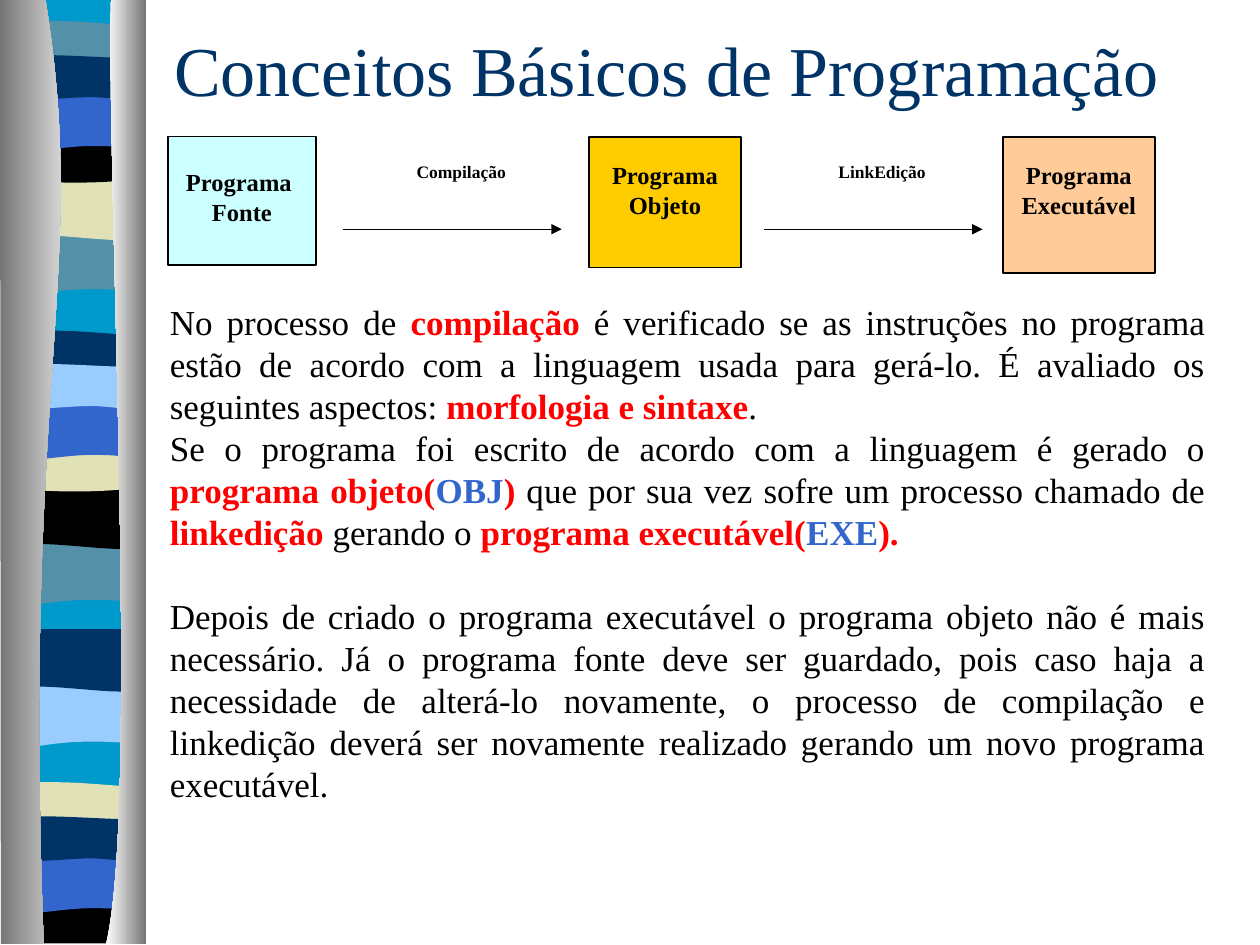
import pptx
import pptx.util
import pptx.dml.color
import pptx.enum.shapes
import pptx.enum.text
import pptx.oxml
import pptx.oxml.ns

Pt = pptx.util.Pt
RGB = pptx.dml.color.RGBColor.from_string
ALIGN = pptx.enum.text.PP_ALIGN
ANCHOR = pptx.enum.text.MSO_ANCHOR
RECT = pptx.enum.shapes.MSO_SHAPE.RECTANGLE
NS = pptx.oxml.ns.nsdecls("a")
qn = pptx.oxml.ns.qn

THEME = {
    "font": "Times New Roman",
    "title": 40, "body": 20, "box": 14, "step": 10,
    "navy": "003366", "blue": "3366CC", "sky": "99CCFF", "cyan": "0099CC",
    "teal": "5490A8", "sand": "E1E1B7", "black": "000000", "white": "FFFFFF",
    "red": "FF0000", "gray": "767676",
    "aqua": "CCFFFF", "gold": "FFCC00", "peach": "FFCC99",
}

prs = pptx.Presentation()
prs.slide_width, prs.slide_height = Pt(720), Pt(540)
s = prs.slides.add_slide(prs.slide_layouts[6])


def add_outline(x, y, segments, colors):
    pts = [(Pt(x + dx), Pt(y + dy)) for segment in segments for dx, dy in segment]
    fb = s.shapes.build_freeform(*pts[0], scale=1.0)
    fb.add_line_segments(pts[1:], close=True)
    sp = fb.convert_to_shape()
    lines = iter(list(sp._element.iter(qn("a:lnTo"))))
    for segment in segments[1:]:
        parts = [next(lines) for _ in segment]
        if len(parts) == 3:
            curve = pptx.oxml.parse_xml("<a:cubicBezTo %s/>" % NS)
            parts[0].addprevious(curve)
            for part in parts:
                curve.append(part[0])
                part.getparent().remove(part)
    sp.shadow.inherit = False
    sp.line.fill.background()
    if len(colors) == 1:
        sp.fill.solid()
        sp.fill.fore_color.rgb = RGB(THEME[colors[0]])
    else:
        sp.fill.gradient()
        sp.fill.gradient_angle = 0
        for stop, color in zip(sp.fill.gradient_stops, colors):
            stop.color.rgb = RGB(THEME[color])


left, w = 4, 78
start, corner = [(w, 0)], [(0, 0)]
swell = [start, [(w, 34)], [(24, 28), (13, 40), (0, 34)], corner]
wave = [start, [(w, 34)], [(65, 39.5), (24, 29.5), (0, 34)], corner]
crest = [start, [(w, 17)], [(65, 20), (13, 20), (0, 17)], corner,
         [(4.5, -3.5), (16.5, -3), (29.5, -3)], [(42.5, -3), (67.5, -0.5), (w, 0)]]
bowl = [start, [(w, 23)], [(65, 27.5), (13, 27.5), (0, 23)], corner, [(47.5, 3.5), (61, 0), (w, 0)]]
dome = [start, [(w, 34)], [(65.5, 30), (60.5, 30), (47.5, 30)], [(34.5, 30), (11.5, 34), (0, 34)], corner]
arch = [start, [(w, 22.5)], [(72.5, 26), (60.5, 22.5), (47.5, 22.5)], [(34.5, 22.5), (8, 26), (0, 22.5)],
        corner, [(11, -3.5), (52.5, 0), (65.5, 0)], [(78.5, 0), (75, 0), (w, 0)]]
base = [start, [(w, 26.5)], [(0, 26.5)], corner, [(47.5, 3.5), (61, 0), (w, 0)]]
bands = [
    ([start, [(w, 538)], [(0, 538)], corner], 0, "cyan"),
    (swell, 133, "teal"), (wave, 101.5, "sand"), (crest, 15, "teal"),
    (bowl, 78, "black"), (dome, 53.5, "blue"), (arch, 33, "navy"),
    (swell, 310.5, "teal"), (wave, 278, "black"), (crest, 192, "navy"),
    (bowl, 254.5, "sand"), (dome, 230, "blue"), (arch, 209.5, "sky"),
    (swell, 391.5, "sky"), (wave, 359.5, "navy"), (crest, 450, "sand"),
    (base, 512.5, "black"), (dome, 489, "blue"), (arch, 468, "navy"),
]
for outline, y, color in bands:
    add_outline(left, y, outline, [color])

add_outline(0, 0, [[(26, 0)], [(51, 155.5), (12.5, 213), (25, 539.5)], [(0.5, 539.5)], [(0, 0)]],
            ["gray", "white"])
add_outline(0, 0, [[(63.5, 0)], [(60.5, 90), (80, 465), (60.5, 539.5)], [(83.5, 539.5)], [(83.5, 0)]],
            ["white", "gray"])

labels = [
    ("Conceitos Básicos de Programação", 92.5, 24, 612, 30, None, "title", "navy", 3.6),
    ("Compilação", 206, 88, 115, 43, "white", "step", "black", 4),
    ("Programa  Fonte", 96, 78, 84.5, 73.5, "aqua", "box", "black", 17.5),
    ("Programa Objeto", 336.5, 78.5, 87, 74.5, "gold", "box", "black", 13),
    ("Programa Executável", 573, 78.5, 87, 77.5, "peach", "box", "black", 13),
    ("LinkEdição", 446.5, 88, 115, 43, "white", "step", "black", 4),
]
for text, x, y, width, height, fill, size, color, top in labels:
    if fill:
        sp = s.shapes.add_shape(RECT, Pt(x), Pt(y), Pt(width), Pt(height))
        sp.shadow.inherit = False
        sp.fill.solid()
        sp.fill.fore_color.rgb = RGB(THEME[fill])
        sp.line.fill.background()
    else:
        sp = s.shapes.add_textbox(Pt(x), Pt(y), Pt(width), Pt(height))
    tf = sp.text_frame
    tf.word_wrap = True
    tf.vertical_anchor = ANCHOR.TOP if fill else ANCHOR.MIDDLE
    tf.margin_top = Pt(top)
    if size == "box":
        sp.line.color.rgb = RGB(THEME["black"])
        sp.line.width = Pt(1)
        tf.margin_left = tf.margin_right = tf.margin_bottom = Pt(1)
    tf.text = text
    p = tf.paragraphs[0]
    p.alignment = ALIGN.CENTER if fill else ALIGN.LEFT
    r = p.runs[0]
    r.font.name = THEME["font"]
    r.font.size = Pt(THEME[size])
    r.font.bold = size != "title"
    r.font.color.rgb = RGB(THEME[color])

for x in (196, 436.5):
    cn = s.shapes.add_connector(pptx.enum.shapes.MSO_CONNECTOR.STRAIGHT, Pt(x), Pt(131), Pt(x + 125), Pt(131))
    cn.line.color.rgb = RGB(THEME["black"])
    cn.line.width = Pt(0.75)
    cn.line._get_or_add_ln().append(pptx.oxml.parse_xml('<a:tailEnd %s type="triangle"/>' % NS))
    cn._element.spPr.append(pptx.oxml.parse_xml("<a:effectLst %s/>" % NS))

body = [
    (0, [("No processo de ", "black"), ("compilação ", "red"),
         ("é verificado se as instruções no programa estão de acordo com a linguagem usada para gerá-lo. "
          "É avaliado os seguintes aspectos: ", "black"),
         ("morfologia e sintaxe", "red"), (".", "black")]),
    (0, [("Se o programa foi escrito de acordo com a linguagem é gerado o ", "black"),
         ("programa objeto(", "red"), ("OBJ", "blue"), (")", "red"),
         (" que por sua vez sofre um processo chamado de ", "black"), ("linkedição", "red"),
         (" gerando o ", "black"), ("programa executável(", "red"), ("EXE", "blue"), (").", "red")]),
    (24, [("Depois de criado o programa executável o programa objeto não é mais necessário. "
           "Já o programa fonte deve ser guardado, pois caso haja a necessidade de alterá-lo novamente, "
           "o processo de compilação e linkedição deverá ser novamente realizado gerando um novo "
           "programa executável.", "black")]),
]
tf = s.shapes.add_textbox(Pt(90), Pt(168), Pt(606), Pt(295)).text_frame
tf.word_wrap = True
tf.auto_size = pptx.enum.text.MSO_AUTO_SIZE.SHAPE_TO_FIT_TEXT
for i, (gap, runs) in enumerate(body):
    p = tf.add_paragraph() if i else tf.paragraphs[0]
    p.alignment = ALIGN.JUSTIFY
    p.space_before = Pt(gap)
    for text, color in runs:
        r = p.add_run()
        r.text = text
        r.font.name = THEME["font"]
        r.font.size = Pt(THEME["body"])
        r.font.bold = color != "black"
        r.font.color.rgb = RGB(THEME[color])

prs.save("out.pptx")
